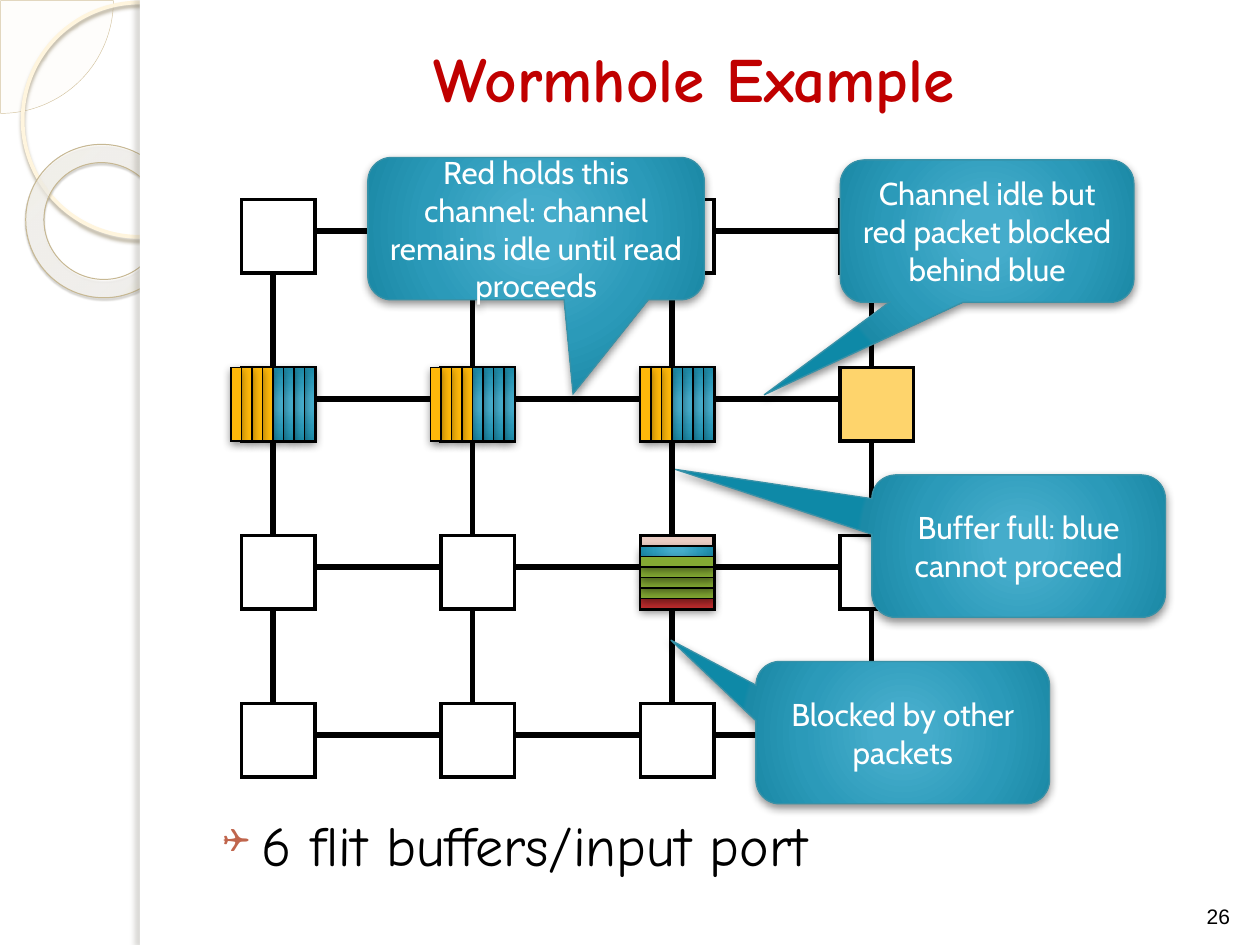
import pptx
import pptx.dml.color
import pptx.enum.shapes
import pptx.enum.text
import pptx.oxml
import pptx.oxml.ns
import pptx.util
from pptx.util import Inches

SHAPE = pptx.enum.shapes.MSO_SHAPE
ALIGN = pptx.enum.text.PP_ALIGN
ANCHOR = pptx.enum.text.MSO_ANCHOR
NS = pptx.oxml.ns.nsdecls("a")

# Gradients: stops of (position, colour, opacity), then the focus rectangle, in percent
BLUE = ([(0, "45ACCC", 100), (15, "45ACCB", 100), (62, "2B9AB9", 100),
         (97, "1C8AA7", 100), (100, "0E89A7", 100)], (50, 50, 50, 50))
RING = ([(0, "FFFCF6", 70), (70, "FFFEFB", 55), (100, "F0D28E", 60)],
        (-408, -50, 508, 150))
YELLOW, GREEN, RED = "FEB80A", "84AA33", "C32D2E"
# Shadows: colour, opacity, blur, distance, direction
SOFT_SHADOW = ("000000", 43, 5, 2, 90)


def rgb(color):
    return pptx.dml.color.RGBColor.from_string(color)


def add_shape(kind, left, top, width, height, fill=None, line=None, shadow=None):
    """Add a preset shape; fill is a colour or gradient, line is (colour, points)."""
    shape = slide.shapes.add_shape(kind, Inches(left), Inches(top),
                                   Inches(width), Inches(height))
    shape.shadow.inherit = False
    properties = shape._element.spPr
    if isinstance(fill, str):
        shape.fill.solid()
        shape.fill.fore_color.rgb = rgb(fill)
    else:
        shape.fill.background()
    if isinstance(fill, tuple):
        stops, (l, t, r, b) = fill
        stop_xml = "".join(
            f'<a:gs pos="{pos * 1000}"><a:srgbClr val="{color}">'
            f'<a:alpha val="{alpha * 1000}"/></a:srgbClr></a:gs>'
            for pos, color, alpha in stops)
        gradient = pptx.oxml.parse_xml(
            f'<a:gradFill {NS} rotWithShape="1"><a:gsLst>{stop_xml}</a:gsLst>'
            f'<a:path path="circle"><a:fillToRect l="{l * 1000}" t="{t * 1000}" '
            f'r="{r * 1000}" b="{b * 1000}"/></a:path></a:gradFill>')
        properties.replace(properties.find(pptx.oxml.ns.qn("a:noFill")), gradient)
    if line:
        shape.line.color.rgb = rgb(line[0])
        shape.line.width = pptx.util.Pt(line[1])
        outline = properties.find(pptx.oxml.ns.qn("a:ln"))
        outline.append(pptx.oxml.parse_xml(f'<a:miter {NS} lim="800000"/>'))
    else:
        shape.line.fill.background()
    if shadow:
        color, alpha, blur, distance, angle = shadow
        effects = properties.find(pptx.oxml.ns.qn("a:effectLst"))
        effects.append(pptx.oxml.parse_xml(
            f'<a:outerShdw {NS} blurRad="{blur * 12700}" '
            f'dist="{int(distance * 12700)}" dir="{angle * 60000}" '
            f'algn="tl" rotWithShape="0"><a:srgbClr val="{color}">'
            f'<a:alpha val="{alpha * 1000}"/></a:srgbClr></a:outerShdw>'))
    return shape


presentation = pptx.Presentation()
presentation.slide_width, presentation.slide_height = Inches(10), Inches(7.5)
slide = presentation.slides.add_slide(presentation.slide_layouts[5])

# Side decoration and content panel
quarter = add_shape(SHAPE.PIE, -0.89, -0.89, 1.79, 1.79, "FEFAF4", ("D3C39F", 0.25))
quarter.adjustments[0], quarter.adjustments[1] = 0, 54
quarter_color = quarter._element.spPr.find(".//" + pptx.oxml.ns.qn("a:srgbClr"))
quarter_color.append(pptx.oxml.parse_xml(f'<a:alpha {NS} val="33000"/>'))
add_shape(SHAPE.OVAL, 0.18, 0.02, 1.86, 1.86, None, ("FFF5DE", 2.15),
          ("B0A68F", 85, 2, 2, 90))
ring = add_shape(SHAPE.DONUT, 0.2, 1.15, 1.23, 1.21, RING, ("C7B893", 0.58),
                 ("5A5444", 35, 1, 1.2, 75))
ring.adjustments[0] = 0.12
ring.rotation = 38.6
add_shape(SHAPE.RECTANGLE, 1.11, 0, 8.89, 7.5, "FFFFFF")
add_shape(SHAPE.RECTANGLE, 1.11, 0, 0.08, 7.5, "FFFFFF", None,
          ("736F63", 25, 3, 3, 180))

# The title stands in front of the panel
title = slide.shapes.title
slide.shapes._spTree.append(title._element)
title.left, title.top = Inches(1.25), Inches(0.3)
title.width, title.height = Inches(8.52), Inches(0.62)

# Mesh of routers: every length is a multiple of one flit
FLIT = 1 / 12
NODE = 7 * FLIT
WIRE_OFFSET = 3 * FLIT
columns = [(23 + 19 * i) * FLIT for i in range(4)]
rows = [(19 + 16 * i) * FLIT for i in range(4)]
node_fills = {(3, 1): "FED46C", (2, 2): "EACCC3"}

wires = []
for i, left in enumerate(columns):
    for j, top in enumerate(rows):
        add_shape(SHAPE.RECTANGLE, left, top, NODE, NODE,
                  node_fills.get((i, j)), ("000000", 2))
        if i < 3:
            y = top + WIRE_OFFSET
            wires.append((left + NODE, y, columns[i + 1], y))
        if j < 3:
            x = left + WIRE_OFFSET
            wires.append((x, top + NODE, x, rows[j + 1]))
for ends in wires:
    wire = slide.shapes.add_connector(pptx.enum.shapes.MSO_CONNECTOR.STRAIGHT,
                                      *[Inches(end) for end in ends])
    wire.line.color.rgb = rgb("000000")
    wire.line.width = pptx.util.Pt(3)
    wire._element.spPr.append(pptx.oxml.parse_xml(f"<a:effectLst {NS}/>"))

# Flits waiting in the second row, then in the full buffer below
for column, yellow_start in enumerate([-1, -1, 0]):
    for slot in range(6, yellow_start - 1, -1):
        add_shape(SHAPE.RECTANGLE, columns[column] + slot * FLIT, rows[1], FLIT, NODE,
                  YELLOW if slot < 3 else BLUE, ("000000", 0.75), SOFT_SHADOW)
for slot, fill in [(1, BLUE), (6, RED), (5, GREEN), (4, GREEN), (3, GREEN), (2, GREEN)]:
    add_shape(SHAPE.RECTANGLE, columns[2], rows[2] + slot * FLIT, NODE, FLIT,
              fill, ("000000", 0.75), SOFT_SHADOW)

callouts = [
    (6, 5.25, 2.33, (-0.79, -0.65), "Blocked by other packets"),
    (6.67, 1.27, 2.33, (-0.76, 1.15), "Channel idle but red packet blocked behind blue"),
    (6.92, 3.77, 2.33, (-1.17, -0.54), "Buffer full: blue cannot proceed"),
    (2.92, 1.25, 2.67, (0.11, 1.16),
     "Red holds this channel: channel remains idle until read proceeds"),
]
texts = [(title, "Wormhole Example", "Comic Neue", 36, "C00000", True,
          ALIGN.CENTER, ANCHOR.MIDDLE)]
for left, top, width, tip, wording in callouts:
    callout = add_shape(SHAPE.ROUNDED_RECTANGULAR_CALLOUT, left, top, width, 1.13,
                        BLUE, ("3891A7", 0.75), SOFT_SHADOW)
    callout.adjustments[0], callout.adjustments[1] = tip
    texts.append((callout, wording, "Cabin", 18, "FFFFFF", False,
                  ALIGN.CENTER, ANCHOR.MIDDLE))

buffer_note = slide.shapes.add_textbox(Inches(1.58), Inches(6.38),
                                       Inches(7.92), Inches(0.87))
bullet = buffer_note.text_frame.paragraphs[0]._p.get_or_add_pPr()
bullet.set("marL", str(Inches(0.4)))
bullet.set("indent", str(Inches(-0.31)))
for xml in (f'<a:buClr {NS}><a:srgbClr val="C0654C"/></a:buClr>',
            f'<a:buSzPct {NS} val="60000"/>',
            f'<a:buFont {NS} typeface="Wingdings" charset="2"/>',
            f'<a:buChar {NS} char="❑"/>'):
    bullet.append(pptx.oxml.parse_xml(xml))
texts.append((buffer_note, "6 flit buffers/input port", "Comic Neue", 32, "000000",
              False, ALIGN.LEFT, ANCHOR.TOP))

page_number = slide.shapes.add_textbox(Inches(9.42), Inches(6.9),
                                       Inches(0.5), Inches(0.52))
texts.append((page_number, "26", "Arial", 12, "000000", False,
              ALIGN.CENTER, ANCHOR.BOTTOM))

for holder, wording, font, size, color, bold, alignment, anchor in texts:
    frame = holder.text_frame
    frame.word_wrap = True
    frame.vertical_anchor = anchor
    paragraph = frame.paragraphs[0]
    paragraph.alignment = alignment
    run = paragraph.add_run()
    run.text = wording
    run.font.name = font
    run.font.size = pptx.util.Pt(size)
    run.font.color.rgb = rgb(color)
    run.font.bold = bold

presentation.save("out.pptx")
